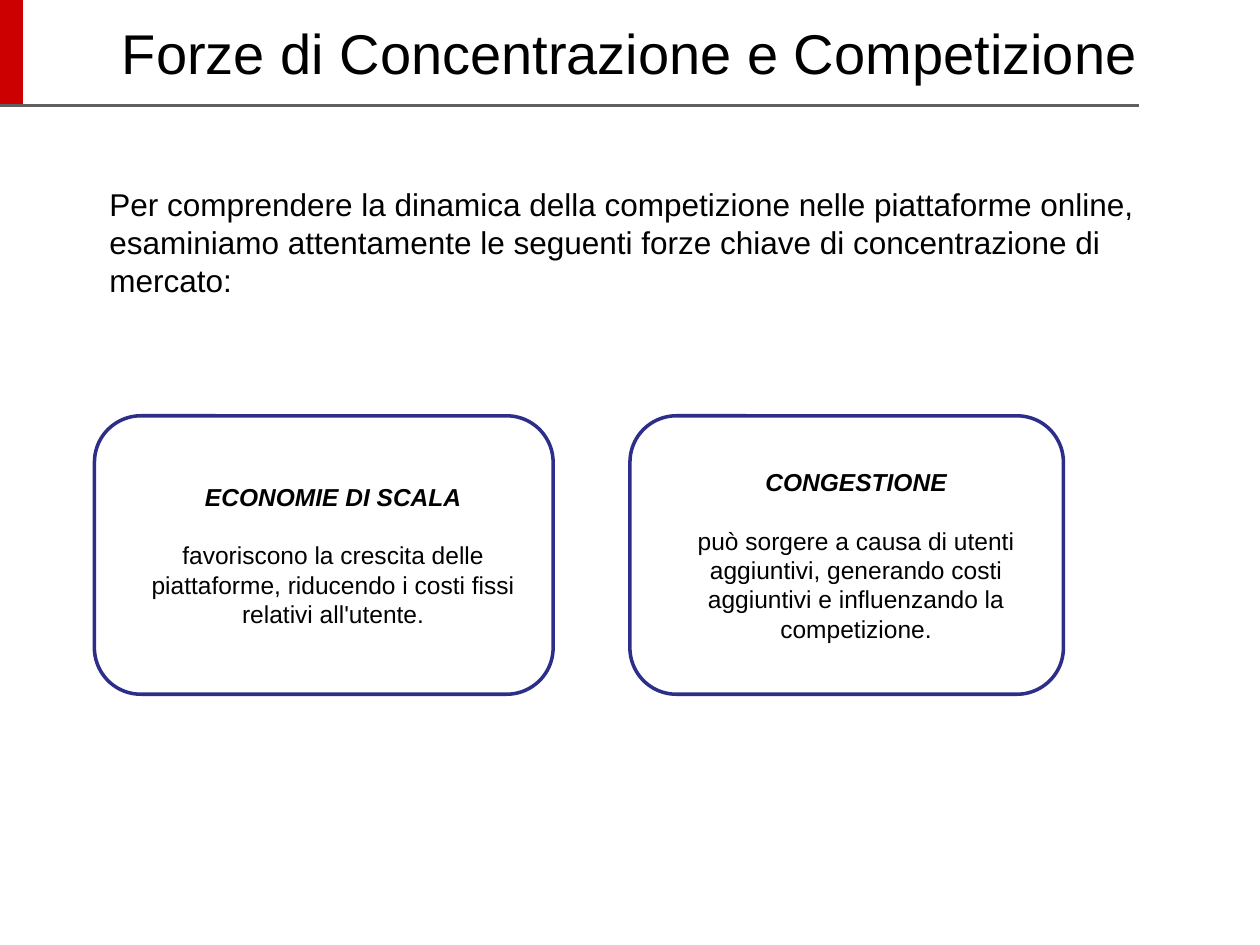
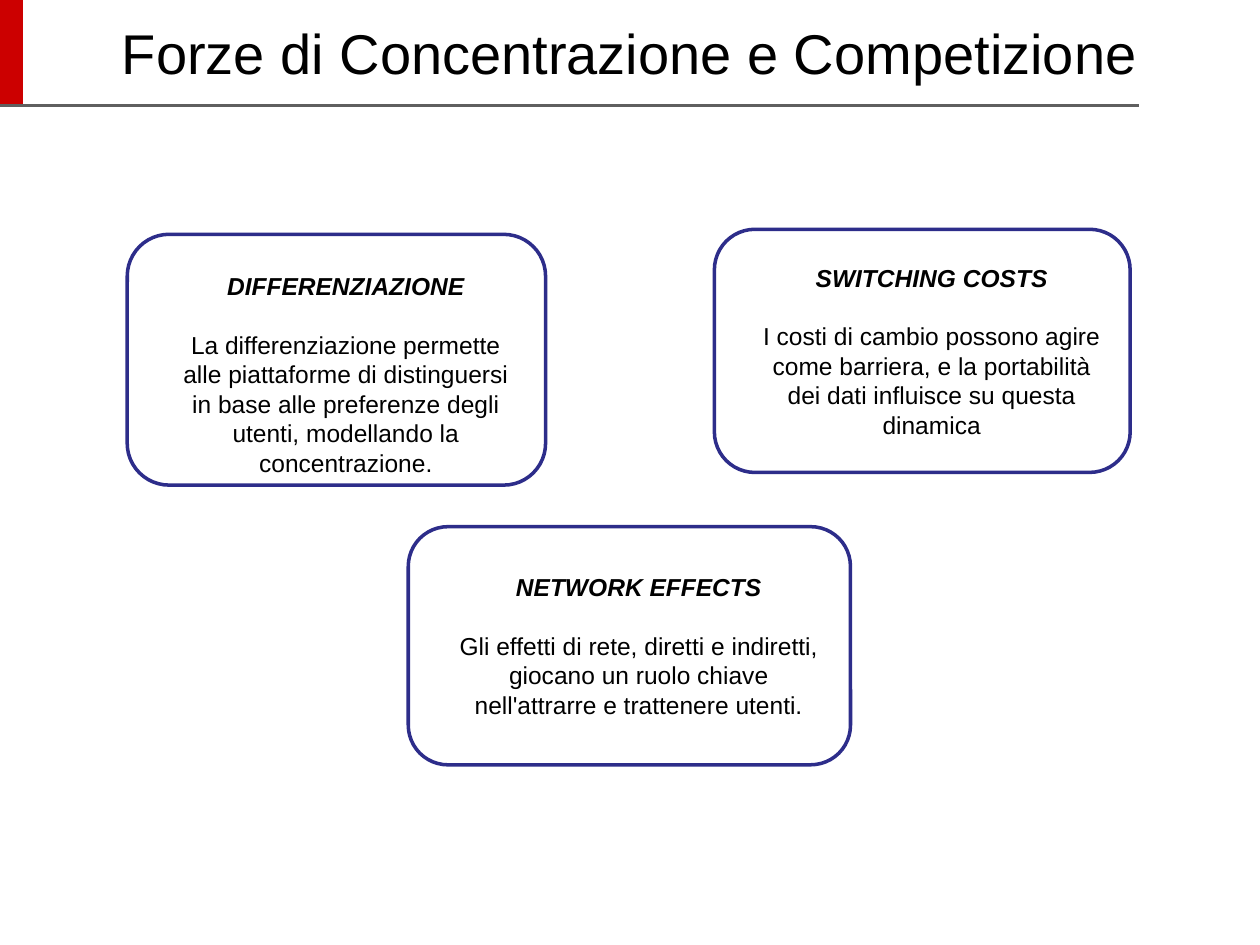
from dataclasses import dataclass

import pptx
import pptx.dml.color
import pptx.enum.shapes
import pptx.enum.text
import pptx.util
from lxml import etree
from pptx.oxml.ns import qn
from pptx.util import Inches

RGBColor = pptx.dml.color.RGBColor
Align = pptx.enum.text.PP_ALIGN
Anchor = pptx.enum.text.MSO_ANCHOR


@dataclass(frozen=True)
class Theme:
    font: str = "Arial"
    text: RGBColor = RGBColor(0x00, 0x00, 0x00)
    paper: RGBColor = RGBColor(0xFF, 0xFF, 0xFF)
    accent: RGBColor = RGBColor(0xCC, 0x00, 0x00)
    rule: RGBColor = RGBColor(0x5F, 0x5F, 0x5F)
    outline: RGBColor = RGBColor(0x2D, 0x2D, 0x8A)
    title_size: float = 32
    intro_size: float = 18
    card_size: float = 14
    heading_gap: float = 16.75
    inset: float = 0.1
    indent: float = 0.15


THEME = Theme()
TITLE = "Forze di Concentrazione e Competizione"


@dataclass(frozen=True)
class Box:
    left: float
    top: float
    width: float
    height: float

    def lengths(self) -> tuple:
        return tuple(Inches(n) for n in (self.left, self.top, self.width, self.height))


@dataclass(frozen=True)
class Card:
    box: Box
    heading: str
    body: str
    text_drop: float = 0  # extra room above the text


@dataclass(frozen=True)
class Rule:
    start: tuple[float, float]
    end: tuple[float, float]
    color: RGBColor
    weight: float


# Shared frame
FRAME_RULES = (
    Rule((0.09, 0), (0.09, 0.84), THEME.accent, 13.5),
    Rule((0, 0.84), (9.04, 0.84), THEME.rule, 1.5),
)
TITLE_BOX = Box(0.5, 0.05, 9, 0.71)

# Content
INTRO_BOX = Box(0.62, 1.37, 8.67, 1.32)
INTRO = (
    "Per comprendere la dinamica della competizione nelle piattaforme online, "
    "esaminiamo attentamente le seguenti forze chiave di concentrazione di mercato:"
)
SCALE_CARDS = (
    Card(Box(0.75, 3.3, 3.64, 2.21), "ECONOMIE DI SCALA",
         "favoriscono la crescita delle piattaforme, riducendo i costi fissi "
         "relativi all'utente."),
    Card(Box(5, 3.3, 3.44, 2.21), "CONGESTIONE",
         "può sorgere a causa di utenti aggiuntivi, generando costi aggiuntivi "
         "e influenzando la competizione."),
)
MARKET_CARDS = (
    Card(Box(5.67, 1.82, 3.3, 1.93), "SWITCHING COSTS",
         "I costi di cambio possono agire come barriera, e la portabilità dei "
         "dati influisce su questa dinamica"),
    Card(Box(1.01, 1.86, 3.32, 1.99), "DIFFERENZIAZIONE",
         "La differenziazione permette alle piattaforme di distinguersi in base "
         "alle preferenze degli utenti, modellando la concentrazione.",
         text_drop=0.23),
    Card(Box(3.24, 4.18, 3.51, 1.89), "NETWORK EFFECTS",
         "Gli effetti di rete, diretti e indiretti, giocano un ruolo chiave "
         "nell'attrarre e trattenere utenti."),
)


def prepare_frame(frame, anchor, text_drop: float = 0) -> None:
    frame.word_wrap = True
    frame.vertical_anchor = anchor
    frame.margin_left = frame.margin_right = frame.margin_bottom = Inches(THEME.inset)
    frame.margin_top = Inches(THEME.inset + text_drop)


def write(paragraph, text: str, size: float, alignment,
          indent: float = 0, strong: bool = False) -> None:
    paragraph.text = text
    paragraph.alignment = alignment
    font = paragraph.font
    font.name, font.size = THEME.font, pptx.util.Pt(size)
    font.bold = font.italic = strong
    font.color.rgb = THEME.text
    properties = paragraph._p.get_or_add_pPr()
    properties.set("marL", str(Inches(indent)))
    properties.set("indent", "0")


def add_text(slide, box: Box, text: str, size: float, alignment,
             indent: float = 0) -> None:
    frame = slide.shapes.add_textbox(*box.lengths()).text_frame
    prepare_frame(frame, Anchor.TOP)
    write(frame.paragraphs[0], text, size, alignment, indent)


def add_rule(slide, rule: Rule) -> None:
    points = [Inches(n) for n in rule.start + rule.end]
    connector = slide.shapes.add_connector(
        pptx.enum.shapes.MSO_CONNECTOR.STRAIGHT, *points)
    connector.line.color.rgb = rule.color
    connector.line.width = pptx.util.Pt(rule.weight)
    etree.SubElement(connector._element.spPr, qn("a:effectLst"))


def add_card(slide, card: Card) -> None:
    shape = slide.shapes.add_shape(
        pptx.enum.shapes.MSO_SHAPE.ROUNDED_RECTANGLE, *card.box.lengths())
    shape.shadow.inherit = False
    shape.fill.solid()
    shape.fill.fore_color.rgb = THEME.paper
    shape.line.color.rgb = THEME.outline
    shape.line.width = pptx.util.Pt(2)
    frame = shape.text_frame
    prepare_frame(frame, Anchor.MIDDLE, card.text_drop)
    write(frame.paragraphs[0], card.heading, THEME.card_size, Align.CENTER,
          THEME.indent, strong=True)
    body = frame.add_paragraph()
    write(body, card.body, THEME.card_size, Align.CENTER, THEME.indent)
    body.space_before = pptx.util.Pt(THEME.heading_gap)


def add_slide(presentation, cards: tuple[Card, ...]):
    slide = presentation.slides.add_slide(presentation.slide_layouts[6])
    for rule in FRAME_RULES:
        add_rule(slide, rule)
    add_text(slide, TITLE_BOX, TITLE, THEME.title_size, Align.CENTER)
    for card in cards:
        add_card(slide, card)
    return slide


def main() -> None:
    presentation = pptx.Presentation()
    presentation.slide_width, presentation.slide_height = Inches(10), Inches(7.5)

    # Slide 1: introduction and scale forces
    slide = add_slide(presentation, SCALE_CARDS)
    add_text(slide, INTRO_BOX, INTRO, THEME.intro_size, Align.LEFT, THEME.indent)

    # Slide 2: market forces
    add_slide(presentation, MARKET_CARDS)

    presentation.save("out.pptx")


if __name__ == "__main__":
    main()
